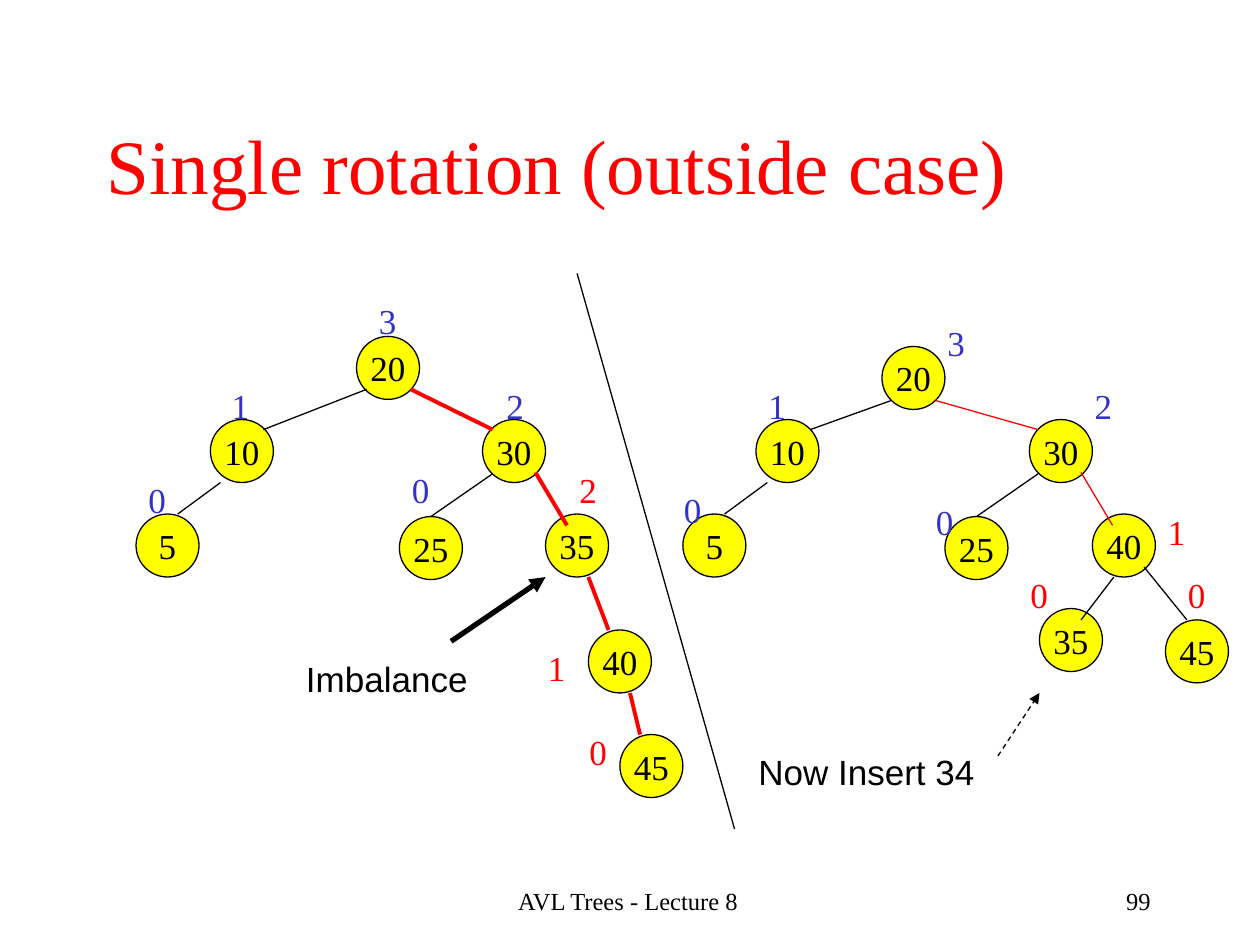
from typing import NamedTuple

import pptx
import pptx.dml.color
import pptx.enum.dml
import pptx.enum.shapes
import pptx.enum.text
import pptx.oxml
import pptx.oxml.ns
import pptx.util
from pptx.util import Inches

RGBColor = pptx.dml.color.RGBColor
Align = pptx.enum.text.PP_ALIGN
Anchor = pptx.enum.text.MSO_ANCHOR

BLACK = RGBColor(0x00, 0x00, 0x00)
RED = RGBColor(0xFF, 0x00, 0x00)
BLUE = RGBColor(0x33, 0x33, 0xCC)
YELLOW = RGBColor(0xFF, 0xFF, 0x00)
SERIF = "Times New Roman"
SANS = "Arial"
NODE_SIZE = 0.5
HEIGHT_LABEL_WIDTH = 0.34
LABEL_HEIGHT = 0.44


class Node(NamedTuple):
    key: int
    left: float
    top: float


class Line(NamedTuple):
    x1: float
    y1: float
    x2: float
    y2: float
    color: RGBColor = BLACK
    width: float = 0.75
    arrow: bool = False
    dashed: bool = False


class Label(NamedTuple):
    text: str
    left: float
    top: float
    width: float = HEIGHT_LABEL_WIDTH
    height: float = LABEL_HEIGHT
    color: RGBColor = BLUE
    size: float = 20
    font: str = SERIF
    align: Align = Align.LEFT
    anchor: Anchor = Anchor.TOP
    wrap: bool = True


def height_label(height: int, left: float, top: float, color: RGBColor = BLUE) -> Label:
    """Describe the subtree height written beside a node."""
    return Label(str(height), left, top, color=color, wrap=False)


NODES = [
    # before the rotation
    Node(20, 2.83, 2.67), Node(10, 1.67, 3.33), Node(30, 3.83, 3.33),
    Node(5, 1.08, 4.08), Node(25, 3.17, 4.1), Node(35, 4.33, 4.08),
    Node(40, 4.67, 5), Node(45, 4.92, 5.83),
    # after the rotation
    Node(20, 7, 2.75), Node(10, 6, 3.33), Node(30, 8.17, 3.33),
    Node(5, 5.42, 4.08), Node(25, 7.5, 4.1), Node(40, 8.67, 4.08),
    Node(35, 8.25, 4.83), Node(45, 9.25, 4.92),
]

LINES = [
    # edges before the rotation
    Line(2.91, 3.09, 2.09, 3.41),
    Line(3.26, 3.09, 3.91, 3.41, RED, 2.25),
    Line(3.91, 3.76, 3.42, 4.1),
    Line(4.25, 3.75, 4.5, 4.17, RED, 2.25),
    Line(1.75, 3.83, 1.41, 4.08),
    Line(4.67, 4.58, 4.83, 5, RED, 2.25),
    Line(5, 5.5, 5.08, 5.83, RED, 2.25),
    # edges after the rotation
    Line(7.07, 3.18, 6.43, 3.41),
    Line(7.43, 3.18, 8.24, 3.41, RED),
    Line(8.24, 3.76, 7.75, 4.1),
    Line(8.58, 3.75, 8.83, 4.17, RED),
    Line(6.09, 3.83, 5.75, 4.08),
    Line(9.08, 4.5, 9.42, 4.92),
    Line(8.84, 4.58, 8.58, 4.92),
    # divider and pointers
    Line(4.58, 2.17, 5.83, 6.58),
    Line(3.58, 5.09, 4.33, 4.58, width=3, arrow=True),
    Line(7.92, 6, 8.25, 5.5, arrow=True, dashed=True),
]

LABELS = [
    Label("Single rotation (outside case)", 0.75, 0.67, 8.5, 1.25, RED, 44,
          anchor=Anchor.MIDDLE),
    # heights before the rotation
    height_label(3, 2.91, 2.33), height_label(1, 1.74, 3), height_label(2, 3.92, 3),
    height_label(0, 1.08, 3.75), height_label(0, 3.17, 3.67),
    height_label(2, 4.5, 3.67, RED), height_label(1, 4.25, 5.08, RED),
    height_label(0, 4.58, 5.75, RED),
    # heights after the rotation
    height_label(3, 7.42, 2.5), height_label(1, 6, 3), height_label(2, 8.59, 3),
    height_label(0, 5.33, 3.83), height_label(0, 7.33, 3.92),
    height_label(1, 9.17, 4, RED), height_label(0, 8.08, 4.5, RED),
    height_label(0, 9.33, 4.5, RED),
    # notes and footer
    Label("Imbalance", 2.33, 5.17, 1.5, color=BLACK, font=SANS),
    Label("Now Insert 34", 5.92, 5.91, 2.08, color=BLACK, font=SANS),
    Label("AVL Trees - Lecture 8", 3.4, 6.98, 3.17, 0.5, BLACK, 14, align=Align.CENTER),
    Label("99", 7.15, 6.98, 2.08, 0.5, BLACK, 14, align=Align.RIGHT),
]


def write_text(sp, label: Label) -> None:
    tf = sp.text_frame
    tf.text = label.text
    tf.word_wrap = label.wrap
    tf.vertical_anchor = label.anchor
    p = tf.paragraphs[0]
    p.alignment = label.align
    font = p.runs[0].font
    font.name = label.font
    font.size = pptx.util.Pt(label.size)
    font.color.rgb = label.color


def add_label(s, label: Label) -> None:
    sp = s.shapes.add_textbox(Inches(label.left), Inches(label.top),
                              Inches(label.width), Inches(label.height))
    write_text(sp, label)


def add_node(s, node: Node) -> None:
    sp = s.shapes.add_shape(pptx.enum.shapes.MSO_SHAPE.OVAL,
                            Inches(node.left), Inches(node.top),
                            Inches(NODE_SIZE), Inches(NODE_SIZE))
    sp.shadow.inherit = False
    sp.fill.solid()
    sp.fill.fore_color.rgb = YELLOW
    sp.line.color.rgb = BLACK
    sp.line.width = pptx.util.Pt(0.75)
    write_text(sp, Label(str(node.key), node.left, node.top, color=BLACK,
                         align=Align.CENTER, anchor=Anchor.MIDDLE, wrap=False))


def add_line(s, line: Line) -> None:
    cx = s.shapes.add_connector(pptx.enum.shapes.MSO_CONNECTOR.STRAIGHT,
                                Inches(line.x1), Inches(line.y1),
                                Inches(line.x2), Inches(line.y2))
    cx.line.color.rgb = line.color
    cx.line.width = pptx.util.Pt(line.width)
    if line.dashed:
        cx.line.dash_style = pptx.enum.dml.MSO_LINE.DASH
    if line.arrow:
        tail = pptx.oxml.parse_xml(
            f'<a:tailEnd {pptx.oxml.ns.nsdecls("a")} type="triangle"/>')
        cx.line._get_or_add_ln().append(tail)
    cx._element.spPr.append(
        pptx.oxml.parse_xml(f'<a:effectLst {pptx.oxml.ns.nsdecls("a")}/>'))


def main() -> None:
    prs = pptx.Presentation()
    prs.slide_width = Inches(10)
    prs.slide_height = Inches(7.5)
    s = prs.slides.add_slide(prs.slide_layouts[6])
    for node in NODES:
        add_node(s, node)
    for line in LINES:
        add_line(s, line)
    for label in LABELS:
        add_label(s, label)
    prs.save("out.pptx")


if __name__ == "__main__":
    main()
